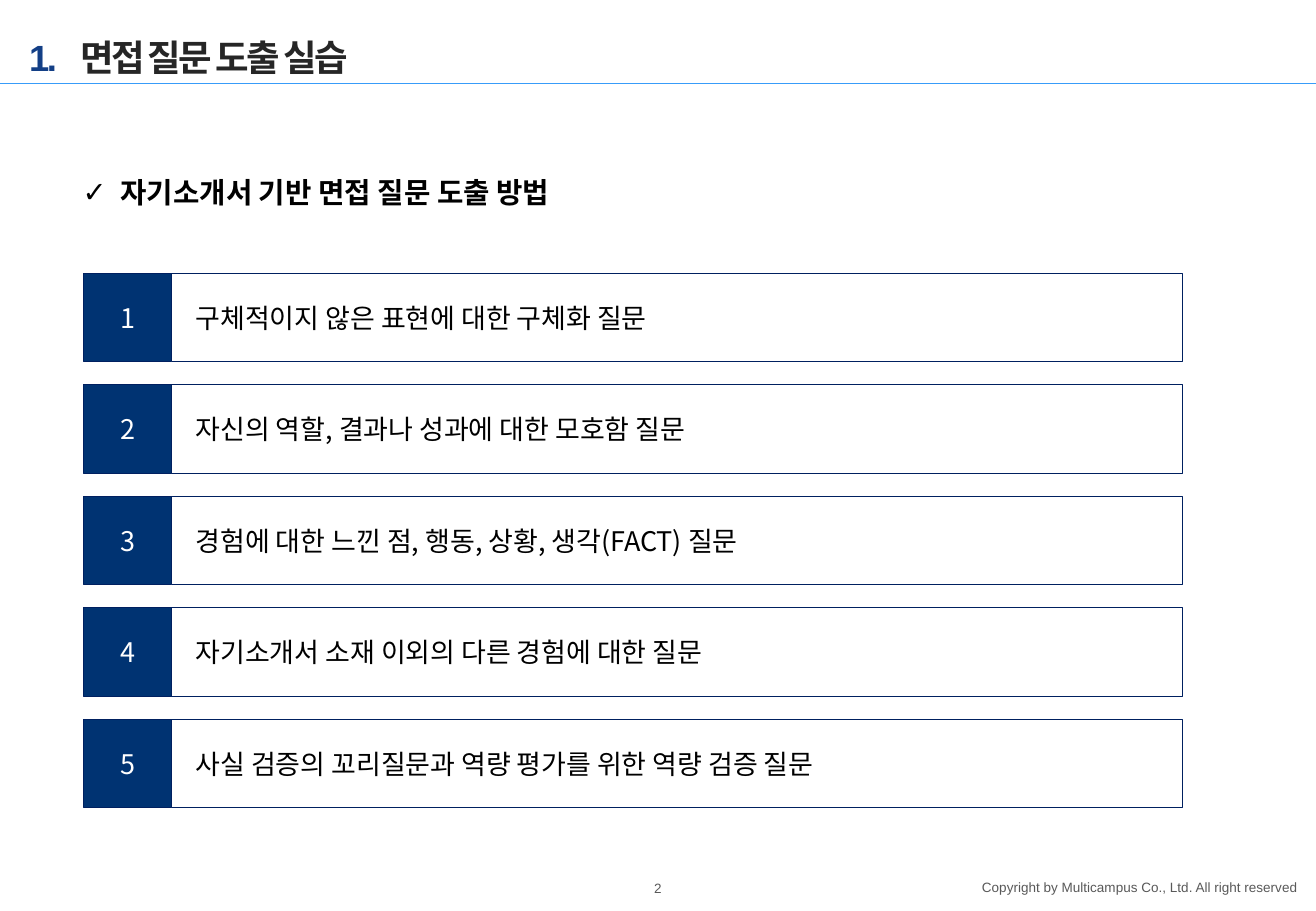
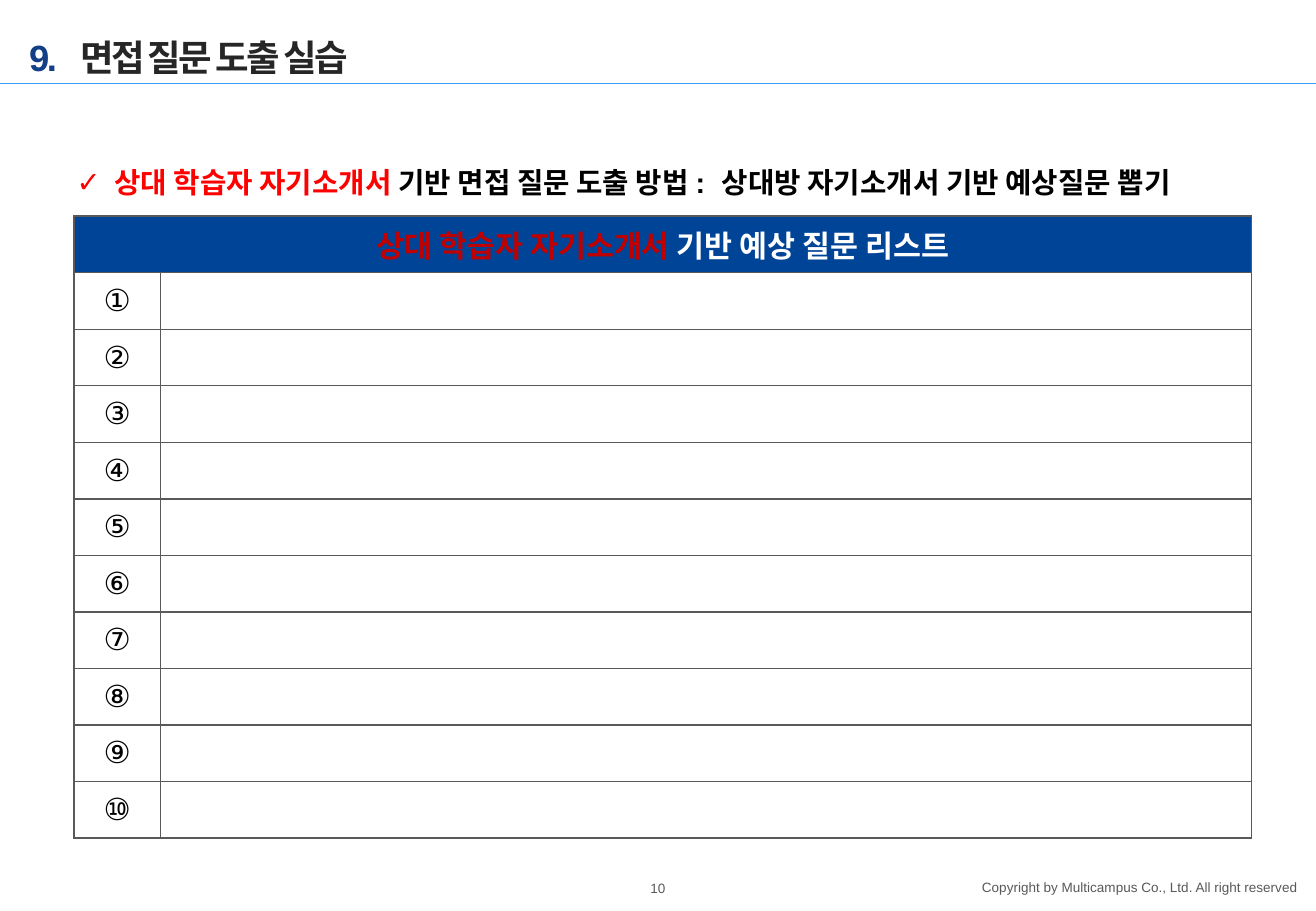
from dataclasses import dataclass

from lxml.etree import SubElement
from pptx import Presentation
from pptx.dml.color import RGBColor
from pptx.enum.shapes import MSO_CONNECTOR, MSO_SHAPE
from pptx.enum.text import MSO_ANCHOR, MSO_AUTO_SIZE, PP_ALIGN
from pptx.oxml import parse_xml
from pptx.oxml.ns import nsdecls, qn
from pptx.util import Inches, Pt


@dataclass(frozen=True)
class Theme:
    """Colours, fonts and type sizes of the deck."""
    latin: str = "Arial"
    korean: str = "Noto Sans CJK KR"
    navy: str = "133F86"
    rule: str = "389CF9"
    badge: str = "003372"
    outline: str = "002060"
    header: str = "004498"
    title_ink: str = "262626"
    grey: str = "595959"
    black: str = "000000"
    white: str = "FFFFFF"
    red: str = "FF0000"
    dark_red: str = "C00000"
    title_size: float = 21.6
    lead_size: float = 17
    row_size: float = 16
    table_size: float = 18
    footer_size: float = 8


T = Theme()


def rgb(value):
    """Turn a hex string into a colour."""
    return RGBColor.from_string(value)


class Deck:
    """Holds the presentation, its theme and the current slide."""

    def __init__(self):
        """Open a blank presentation at the slide size."""
        self.prs = Presentation()
        self.prs.slide_width, self.prs.slide_height = Inches(10.83), Inches(7.5)
        self.s = None

    def place(self, sp, x, y, w, h):
        """Move and size a shape."""
        for name, value in dict(left=x, top=y, width=w, height=h).items():
            setattr(sp, name, Inches(value))

    def frame(self, tf, anchor=MSO_ANCHOR.MIDDLE, insets=(0.1, 0.05, 0.1, 0.05)):
        """Format a text frame and return its first paragraph."""
        style = dict(word_wrap=True, auto_size=MSO_AUTO_SIZE.NONE, vertical_anchor=anchor)
        for side, inset in zip(("left", "top", "right", "bottom"), insets):
            style[f"margin_{side}"] = Inches(inset)
        for name, value in style.items():
            setattr(tf, name, value)
        return tf.paragraphs[0]

    def run(self, p, text, size, color, bold=False, latin=T.latin, asian=T.korean, spacing=0):
        """Add a formatted run, without pair kerning, to a paragraph."""
        r = p.add_run()
        r.text = text
        for name, value in dict(name=latin, size=Pt(size), bold=bold).items():
            setattr(r.font, name, value)
        r.font.color.rgb = rgb(color)
        rPr = r.font._element
        SubElement(rPr, qn("a:ea")).set("typeface", asian)
        rPr.set("kern", "0")
        rPr.set("spc", str(int(spacing * 100)))

    def slide(self, number, title, page):
        """Start a slide with title, rule and footers."""
        self.s = self.prs.slides.add_slide(self.prs.slide_layouts[1])
        self.rule(0.69)
        self.text(str(page), 5.26, 7.23, 0.31, 0.17, PP_ALIGN.CENTER,
                  MSO_ANCHOR.MIDDLE, (0, 0, 0, 0))
        self.text("Copyright by Multicampus Co., Ltd. All right reserved",
                  8.02, 7.19, 2.76, 0.24, PP_ALIGN.RIGHT,
                  MSO_ANCHOR.TOP, (0, 0.05, 0.1, 0.05))
        self.title(number, title)

    def rule(self, y):
        """Draw a line across the slide."""
        ln = self.s.shapes.add_connector(MSO_CONNECTOR.STRAIGHT, 0, Inches(y),
                                         self.prs.slide_width, Inches(y))
        ln.line.color.rgb = rgb(T.rule)
        ln.line.width = Pt(0.5)
        SubElement(ln._element.spPr, qn("a:effectLst"))

    def text(self, text, x, y, w, h, align, anchor, insets):
        """Add a small footer text."""
        box = self.s.shapes.add_textbox(*map(Inches, (x, y, w, h)))
        p = self.frame(box.text_frame, anchor, insets)
        p.alignment = align
        self.run(p, text, T.footer_size, T.grey)

    def title(self, number, text):
        """Fill the title placeholder with a number and a tabbed heading."""
        sp = self.s.shapes.title
        self.place(sp, 0.14, 0.07, 7.35, 0.61)
        p = self.frame(sp.text_frame)
        tabs = SubElement(p._p.get_or_add_pPr(), qn("a:tabLst"))
        tab = SubElement(tabs, qn("a:tab"))
        tab.set("pos", str(Inches(0.42)))
        tab.set("algn", "l")
        p.alignment, p.line_spacing = PP_ALIGN.LEFT, 1.5
        for part, color, font in ((f"{number}.\t", T.navy, T.latin),
                                  (text, T.title_ink, T.korean)):
            self.run(p, part, T.title_size, color, True, font, spacing=-1.5)

    def lead(self, x, y, *parts):
        """Fill the body placeholder with one check-marked line."""
        sp = self.s.placeholders[1]
        self.place(sp, x, y, 10.26, 0.39)
        p = self.frame(sp.text_frame, MSO_ANCHOR.TOP)
        pPr = p._p.get_or_add_pPr()
        pPr.set("marL", str(Inches(0.31)))
        pPr.set("indent", str(-Inches(0.31)))
        SubElement(pPr, qn("a:buFont")).set("typeface", T.latin)
        SubElement(pPr, qn("a:buChar")).set("char", "✓")
        p.space_before = Pt(0)
        for text, color, spacing in parts:
            self.run(p, text, T.lead_size, color, True, spacing=spacing)

    def box(self, text, x, y, w, fill, color, align, inset=0.1):
        """Add an outlined rectangle with text."""
        sp = self.s.shapes.add_shape(MSO_SHAPE.RECTANGLE, *map(Inches, (x, y, w, 0.73)))
        sp.shadow.inherit = False
        sp.fill.solid()
        sp.fill.fore_color.rgb = rgb(fill)
        sp.line.color.rgb = rgb(T.outline)
        sp.line.width = Pt(0.5)
        p = self.frame(sp.text_frame, insets=(inset, 0.05, 0.1, 0.05))
        p.alignment = align
        self.run(p, text, T.row_size, color, latin=T.korean)

    def numbered_rows(self, items, top, pitch):
        """Stack numbered badges with their texts."""
        for i, item in enumerate(items):
            y = top + i * pitch
            self.box(str(i + 1), 0.69, y, 0.72, T.badge, T.white, PP_ALIGN.CENTER)
            self.box(item, 1.41, y, 8.32, T.white, T.black, PP_ALIGN.LEFT, 0.2)

    def cell(self, cell, fill, anchor=MSO_ANCHOR.MIDDLE):
        """Fill and border a table cell and return its paragraph."""
        cell.fill.solid()
        cell.fill.fore_color.rgb = rgb(fill)
        cell.vertical_anchor = anchor
        tcPr = cell._tc.get_or_add_tcPr()
        for i, side in enumerate("LRTB"):
            tcPr.insert(i, parse_xml(
                f'<a:ln{side} {nsdecls("a")} w="12700"><a:solidFill>'
                f'<a:srgbClr val="{T.grey}"/></a:solidFill></a:ln{side}>'))
        p = cell.text_frame.paragraphs[0]
        p.alignment = PP_ALIGN.CENTER
        return p

    def answer_table(self, heading, marks):
        """Add a table with a merged heading and blank answer rows."""
        count, height = len(marks) + 1, 5.12
        tbl = self.s.shapes.add_table(count, 2, *map(Inches, (0.61, 1.78, 9.69, height))).table
        for col, width in zip(tbl.columns, (0.71, 8.98)):
            col.width = Inches(width)
        for row in tbl.rows:
            row.height = Inches(height / count)
        tbl.cell(0, 0).merge(tbl.cell(0, 1))
        p, _ = [self.cell(tbl.cell(0, c), T.header, MSO_ANCHOR.TOP) for c in range(2)]
        for text, color in heading:
            self.run(p, text, T.table_size, color, True)
        for i, mark in enumerate(marks, 1):
            p, _ = [self.cell(tbl.cell(i, c), T.white) for c in range(2)]
            self.run(p, mark, T.table_size, T.black, asian=T.latin)


def main():
    """Build both slides and save the deck."""
    deck = Deck()
    deck.slide(1, "면접 질문 도출 실습", 2)
    deck.lead(0.58, 1.39, ("자기소개서 기반 면접 질문 도출 방법", T.black, 0))
    deck.numbered_rows((
        "구체적이지 않은 표현에 대한 구체화 질문",
        "자신의 역할, 결과나 성과에 대한 모호함 질문",
        "경험에 대한 느낀 점, 행동, 상황, 생각(FACT) 질문",
        "자기소개서 소재 이외의 다른 경험에 대한 질문",
        "사실 검증의 꼬리질문과 역량 평가를 위한 역량 검증 질문",
    ), 2.25, 3.67 / 4)

    deck.slide(9, "면접 질문 도출 실습", 10)
    deck.lead(0.53, 1.31, ("상대 학습자 자기소개서 ", T.red, 0),
              ("기반 면접 질문 도출 방법 :", T.black, 0), (" ", T.black, 5),
              ("상대방 자기소개서 기반 예상질문 뽑기", T.black, 0))
    deck.answer_table((("상대 학습자 자기소개서", T.dark_red),
                       (" 기반 예상 질문 리스트", T.white)), "①②③④⑤⑥⑦⑧⑨⑩")
    deck.prs.save("out.pptx")


if __name__ == "__main__":
    main()
